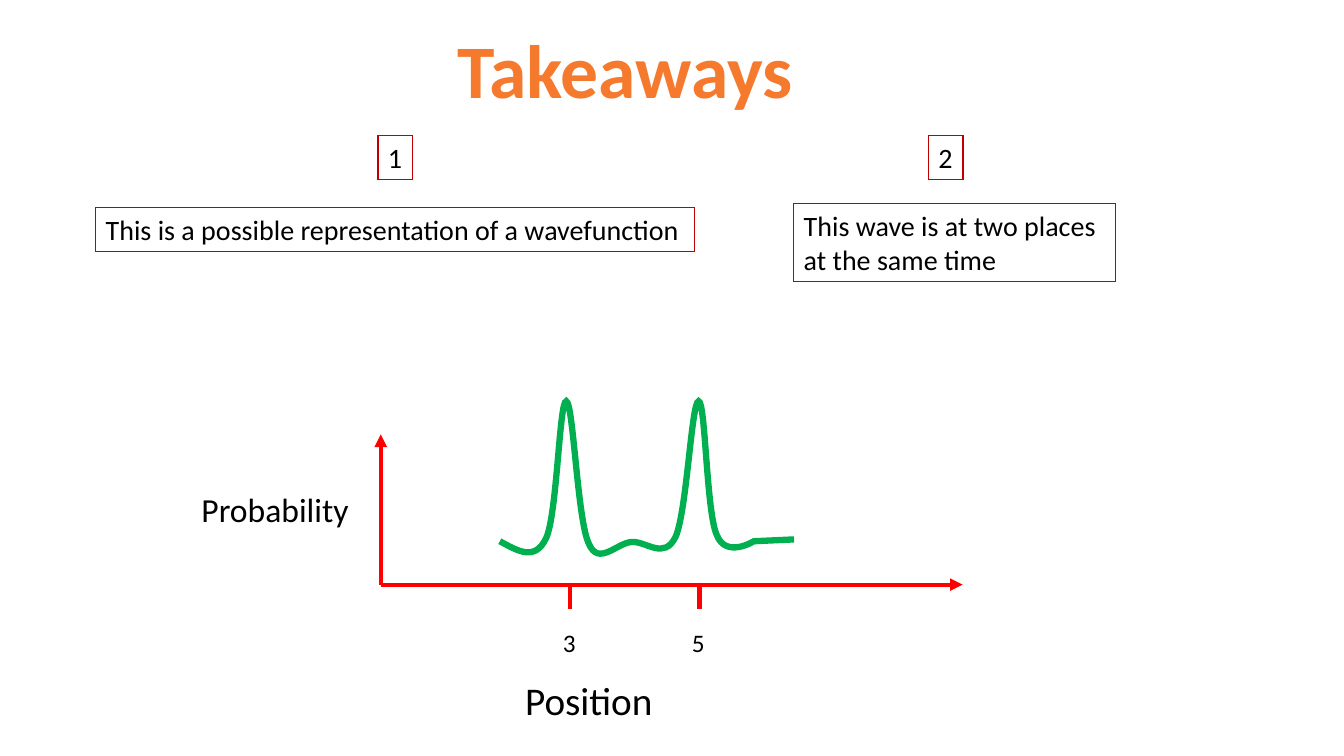
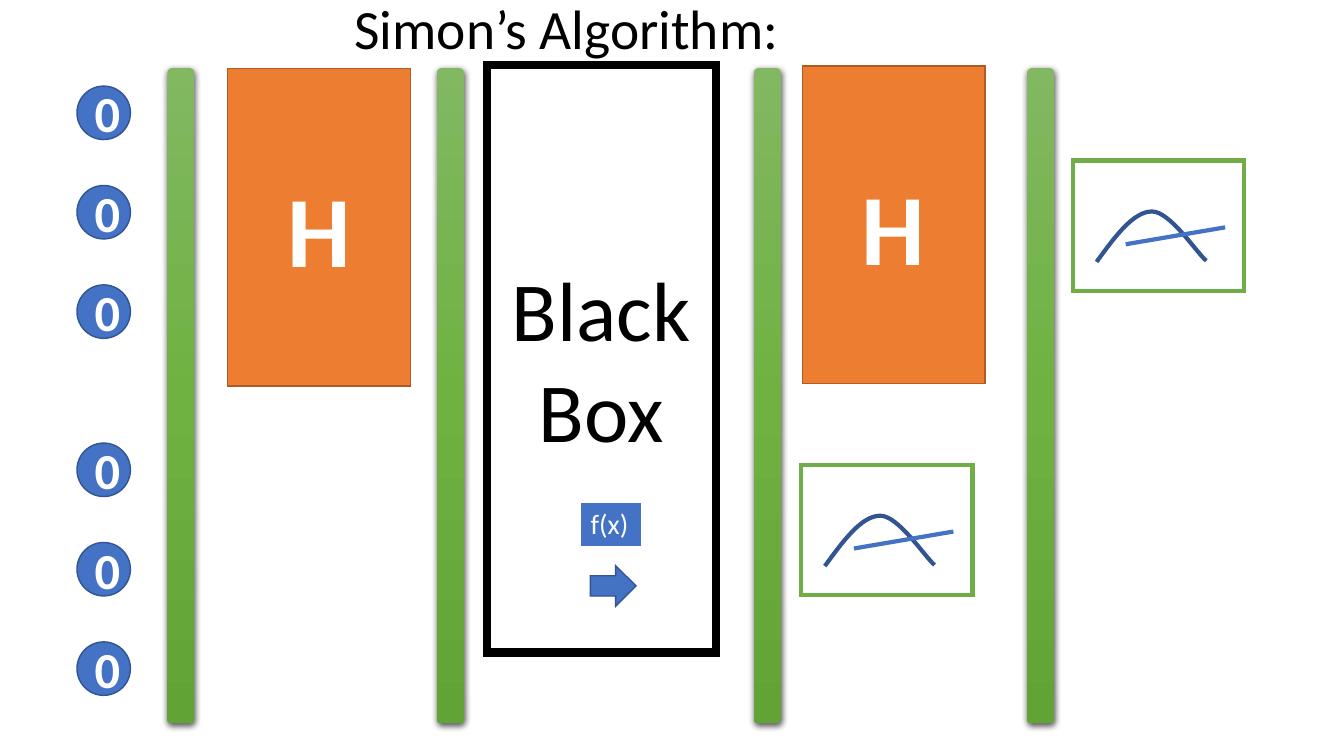
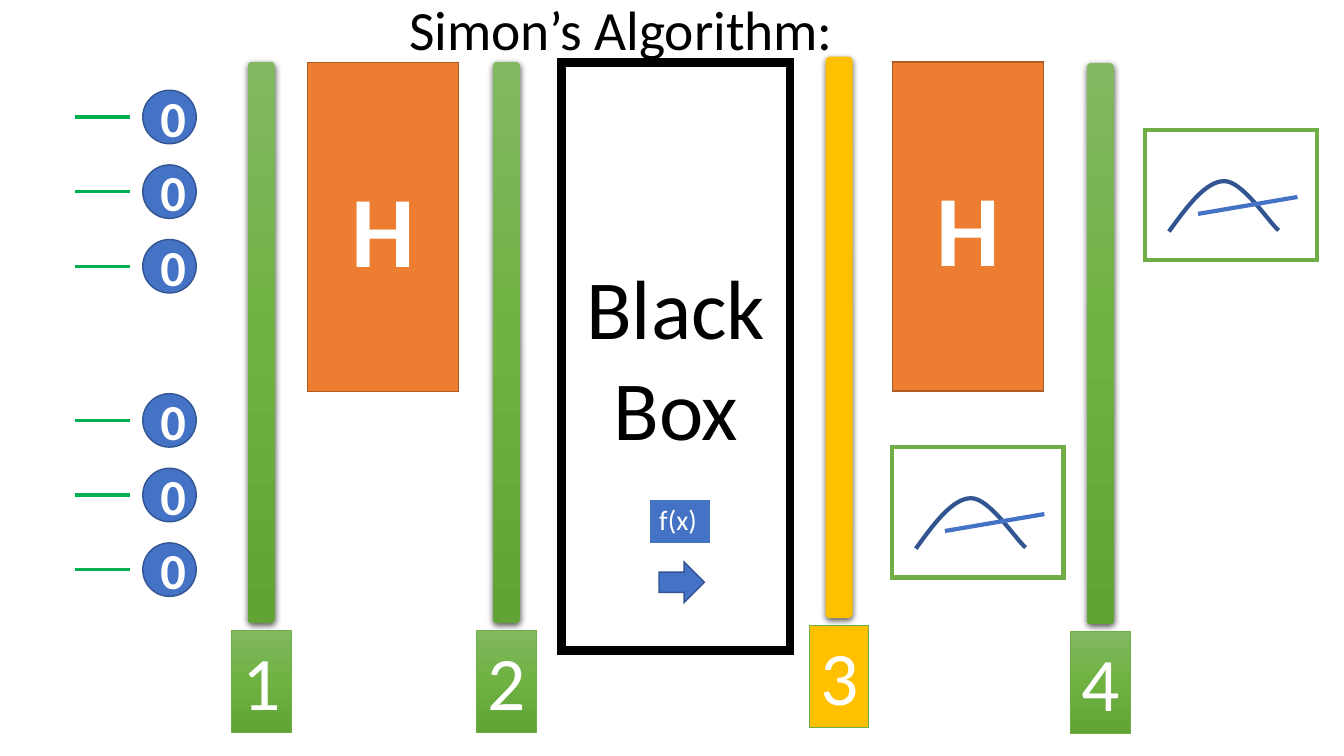
from copy import deepcopy

from lxml import etree
from pptx import Presentation
from pptx.dml.color import RGBColor
from pptx.enum.shapes import MSO_CONNECTOR, MSO_SHAPE
from pptx.enum.text import MSO_ANCHOR, MSO_AUTO_SIZE, PP_ALIGN
from pptx.oxml.ns import qn
from pptx.util import Pt

RECTANGLE = MSO_SHAPE.RECTANGLE
ROUNDED = MSO_SHAPE.ROUNDED_RECTANGLE
ELLIPSE = MSO_SHAPE.OVAL
RIGHT_ARROW = MSO_SHAPE.RIGHT_ARROW
STRAIGHT = MSO_CONNECTOR.STRAIGHT
LEFT, CENTER = PP_ALIGN.LEFT, PP_ALIGN.CENTER
TOP, MIDDLE = MSO_ANCHOR.TOP, MSO_ANCHOR.MIDDLE

FONT = "Calibri"
BLACK = RGBColor(0x00, 0x00, 0x00)
WHITE = RGBColor(0xFF, 0xFF, 0xFF)
TITLE_ORANGE = RGBColor(0xF5, 0x7A, 0x2E)
RED = RGBColor(0xFF, 0x00, 0x00)
DARK_RED = RGBColor(0xC0, 0x00, 0x00)
BRIGHT_GREEN = RGBColor(0x00, 0xB0, 0x50)
GREEN = RGBColor(0x70, 0xAD, 0x47)
BLUE = RGBColor(0x44, 0x72, 0xC4)
DARK_BLUE = RGBColor(0x32, 0x54, 0x91)
ORANGE = RGBColor(0xED, 0x7D, 0x31)
DARK_ORANGE = RGBColor(0xAF, 0x5C, 0x24)
GOLD = RGBColor(0xFF, 0xC0, 0x00)
GREEN_GRADIENT = [
    (0, RGBColor(0x81, 0xB8, 0x61)),
    (0.5, RGBColor(0x6F, 0xB2, 0x42)),
    (1, RGBColor(0x62, 0xA3, 0x36)),
]

TITLE_ONLY_LAYOUT = 5
QUBIT_SIZE = 38.2
BAR_WIDTH = 19.4
STEP_SIZE = (42.5, 73)
STEP_GAP = 5

# A curve is a start point, then (control, control, end) or (end,) segments.
WAVE_HEIGHT = 109.4
WAVE_START = (85, -31)
WAVE = [
    ((98, -24), (110, -16.5), (118, -33)),
    ((126, -49.5), (127.5, -131.5), (132.5, -131)),
    ((137.5, -130.5), (140.5, -46), (148.5, -29.5)),
    ((155.5, -12.5), (168.5, -30), (179.5, -30.5)),
    ((189.5, -31), (202.5, -17.5), (210.5, -34)),
    ((218.5, -51), (222, -131), (227, -131)),
    ((232, -131.5), (232.5, -52), (240, -35.5)),
    ((246.5, -18.5), (266.5, -31), (266.5, -31)),
    ((295.2, -32.3),),
]
DIAL_HEIGHT = 36
DIAL_START = (17, 72.4)
DIAL = [
    ((30, 54.5), (43.2, 36.5), (56.4, 36.4)),
    ((69.5, 36), (89.3, 67), (95.4, 71.6)),
]


def set_text(frame, text, size=20, color=BLACK, bold=False, align=LEFT,
             anchor=TOP, wrap=True, spacing=None):
    frame.text = text
    frame.word_wrap = wrap
    frame.auto_size = MSO_AUTO_SIZE.NONE
    frame.vertical_anchor = anchor
    for paragraph in frame.paragraphs:
        paragraph.alignment = align
        paragraph.line_spacing = spacing
        font = paragraph.runs[0].font
        font.name, font.size, font.bold = FONT, Pt(size), bold
        font.color.rgb = color


def set_line(shape, color, width):
    shape.line.color.rgb = color
    shape.line.width = Pt(width)
    outline = shape.element.spPr.find(qn("a:ln"))
    etree.SubElement(outline, qn("a:miter"), lim="800000")


def add_label(slide, box, text, **text_format):
    label = slide.shapes.add_textbox(*map(Pt, box))
    set_text(label.text_frame, text, **text_format)


def fill_gradient(shape, stops):
    fill = shape.fill
    fill.gradient()
    fill.gradient_angle = 270
    stop_list = shape.element.spPr.find(".//" + qn("a:gsLst"))
    stop_list.insert(1, deepcopy(stop_list[0]))
    for stop, (position, color) in zip(fill.gradient_stops, stops):
        stop.position = position
        stop.color.rgb = color


def add_box(slide, kind, box, fill=None, line=None, text=None, **text_format):
    """Fill is a colour, a list of gradient stops or None; line is (colour, width)."""
    shape = slide.shapes.add_shape(kind, *map(Pt, box))
    shape.shadow.inherit = False
    if fill is None:
        shape.fill.background()
    elif isinstance(fill, list):
        fill_gradient(shape, fill)
    else:
        shape.fill.solid()
        shape.fill.fore_color.rgb = fill
    if line:
        set_line(shape, *line)
    else:
        shape.line.fill.background()
    if text:
        set_text(shape.text_frame, text, **text_format)
    return shape


def add_line(slide, start, end, color, width, arrow=False):
    line = slide.shapes.add_connector(STRAIGHT, *map(Pt, start + end))
    set_line(line, color, width)
    properties = line.element.spPr
    if arrow:
        etree.SubElement(properties.find(qn("a:ln")), qn("a:tailEnd"), type="triangle")
    etree.SubElement(properties, qn("a:effectLst"))


def add_curve(slide, origin, start, segments, height, color, width):
    """Joins the segment ends, then bends each three-point segment into a Bezier."""
    left, top = origin
    ends = [start] + [segment[-1] for segment in segments]
    corners = [(Pt(left + x), Pt(top + y)) for x, y in ends]
    builder = slide.shapes.build_freeform(*corners[0])
    builder.add_line_segments(corners[1:], close=False)
    curve = builder.convert_to_shape()
    curve.shadow.inherit = False
    curve.fill.background()
    set_line(curve, color, width)
    curve.height = Pt(height)
    outline = curve.element.spPr.find(".//" + qn("a:path"))
    outline.set("h", str(Pt(height)))
    min_x, min_y = (min(axis) for axis in zip(*ends))
    for straight, segment in zip(outline.findall(qn("a:lnTo")), segments):
        if len(segment) == 3:
            bend = etree.Element(qn("a:cubicBezTo"))
            for x, y in segment:
                etree.SubElement(bend, qn("a:pt"), x=str(Pt(x - min_x)), y=str(Pt(y - min_y)))
            outline.replace(straight, bend)


def add_titled_slide(presentation, box, text, **text_format):
    slide = presentation.slides.add_slide(presentation.slide_layouts[TITLE_ONLY_LAYOUT])
    title = slide.shapes.title
    title.left, title.top, title.width, title.height = map(Pt, box)
    set_text(title.text_frame, text, **text_format)
    return slide


def add_takeaway(slide, number, number_left, box, text):
    outline = (DARK_RED, 0.75)
    add_box(slide, RECTANGLE, (number_left, 96.5, 24.7, 31.5), line=outline,
            text=number, wrap=False)
    add_box(slide, RECTANGLE, box, line=outline, text=text)


def add_probability_plot(slide, left, base):
    """The axes meet at (left, base)."""
    add_curve(slide, (left, base), WAVE_START, WAVE, WAVE_HEIGHT, BRIGHT_GREEN, 4.5)
    for end in ((left + 415.6, base), (left, base - 107.3)):
        add_line(slide, (left, base), end, RED, 3, arrow=True)
    add_label(slide, (left + 96, base + 62, 106.5, 41), "Position", size=28, wrap=False)
    add_label(slide, (left - 135.2, base - 72, 121, 36), "Probability", size=24, wrap=False)
    for value, offset in (("3", 135.4), ("5", 227.7)):
        x = left + offset
        add_line(slide, (x, base), (x, base + 17.3), RED, 3)
        add_label(slide, (x - 12.5, base + 26.6, 24, 29), value, size=18, wrap=False)


def add_qubits(slide, left, top, pitch, wire_left=None):
    for index in range(3):
        y = top + index * pitch
        if wire_left is not None:
            middle = y + QUBIT_SIZE / 2
            add_line(slide, (wire_left, middle), (wire_left + 39.6, middle),
                     BRIGHT_GREEN, 2.25)
        add_box(slide, ELLIPSE, (left, y, QUBIT_SIZE, QUBIT_SIZE), BLUE, (DARK_BLUE, 1),
                "0", size=36, color=WHITE, bold=True, align=CENTER, anchor=MIDDLE)


def add_bar(slide, left, top, height, fill=GREEN_GRADIENT, step=None):
    bar = add_box(slide, ROUNDED, (left, top, BAR_WIDTH, height), fill)
    effects = bar.element.spPr.find(qn("a:effectLst"))
    shadow = etree.SubElement(effects, qn("a:outerShdw"), blurRad=str(Pt(4.5)),
                              dist=str(Pt(1.5)), dir="5400000", rotWithShape="0")
    shade = etree.SubElement(shadow, qn("a:srgbClr"), val=str(BLACK))
    etree.SubElement(shade, qn("a:alpha"), val="63000")
    if step:
        step_left = left + (BAR_WIDTH - STEP_SIZE[0]) / 2
        add_box(slide, RECTANGLE, (step_left, top + height + STEP_GAP, *STEP_SIZE), fill,
                (GREEN, 0.5), step, size=54, color=WHITE, align=CENTER, wrap=False)


def add_hadamard(slide, box):
    add_box(slide, RECTANGLE, box, ORANGE, (DARK_ORANGE, 1), "H",
            size=72, color=WHITE, bold=True, align=CENTER, anchor=MIDDLE)


def add_black_box(slide, left, top):
    add_box(slide, RECTANGLE, (left, top, 163.5, 419.8), line=(BLACK, 6), text="Black Box",
            size=60, align=CENTER, anchor=MIDDLE)


def add_function_badge(slide, left, top):
    table = slide.shapes.add_table(1, 1, *map(Pt, (left, top, 43.7, 31))).table
    cell = table.cell(0, 0)
    cell.fill.solid()
    cell.fill.fore_color.rgb = BLUE
    run = cell.text_frame.paragraphs[0].add_run()
    run.text = "f(x)"
    run.font.name, run.font.size, run.font.bold = FONT, Pt(20), False
    run.font.color.rgb = WHITE
    add_box(slide, RIGHT_ARROW, (left + 7, top + 45, 32.5, 29), BLUE, (DARK_BLUE, 1))


def add_meter(slide, left, top):
    add_box(slide, RECTANGLE, (left, top, 122.5, 93), WHITE, (GREEN, 3))
    add_curve(slide, (left, top), DIAL_START, DIAL, DIAL_HEIGHT, DARK_BLUE, 3)
    add_line(slide, (left + 37.8, top + 59.8), (left + 108.8, top + 47.7), BLUE, 3)


def add_takeaways_slide(presentation):
    slide = add_titled_slide(presentation, (318.3, 13, 256.5, 72.5), "Takeaways", size=54,
                             color=TITLE_ORANGE, bold=True, align=CENTER, wrap=False)
    add_probability_plot(slide, 272, 417.6)
    add_takeaway(slide, "1", 270, (68.4, 148.3, 428, 31.5),
                 "This is a possible representation of a wavefunction")
    add_takeaway(slide, "2", 663.2, (567, 145.5, 229.7, 55.5),
                 "This wave is at two places\nat the same time")


def add_algorithm_slide(presentation, title_place, black_box, badge, qubits, bars,
                        hadamards, meters):
    """Qubits is (left, group tops, pitch, wire left); the others give places."""
    slide = add_titled_slide(presentation, (*title_place, 343.5, 34), "Simon’s Algorithm:",
                             size=39.6, anchor=MIDDLE, spacing=0.9)
    add_black_box(slide, *black_box)
    add_function_badge(slide, *badge)
    left, tops, pitch, wire_left = qubits
    for top in tops:
        add_qubits(slide, left, top, pitch, wire_left)
    for bar in bars:
        add_bar(slide, *bar)
    for box in hadamards:
        add_hadamard(slide, box)
    for place in meters:
        add_meter(slide, *place)


def main():
    presentation = Presentation()
    presentation.slide_width, presentation.slide_height = Pt(960), Pt(540)
    add_takeaways_slide(presentation)
    add_algorithm_slide(
        presentation,
        title_place=(246, 5.5),
        black_box=(347.8, 46.3),
        badge=(414.7, 359),
        qubits=(55, (61.5, 316.5), 71, None),
        bars=[(left, 48.7, 468) for left in (119.5, 312, 538.5, 733.7)],
        hadamards=[(162.7, 48.8, 130.5, 227), (573.2, 47.2, 130.5, 227)],
        meters=[(572.2, 332), (766.3, 114.7)],
    )
    add_algorithm_slide(
        presentation,
        title_place=(285, 6),
        black_box=(401, 44.8),
        badge=(463.7, 356.4),
        qubits=(102, (64.5, 281.2), 53.3, 53.3),
        bars=[
            (177, 44, 401, GREEN_GRADIENT, "1"),
            (352, 44, 401, GREEN_GRADIENT, "2"),
            (589.7, 40.5, 401, GOLD, "3"),
            (776.3, 45, 401, GREEN_GRADIENT, "4"),
        ],
        hadamards=[(219.6, 44.5, 108, 235.2), (637.4, 44.2, 108, 235.2)],
        meters=[(637.2, 319.5), (818, 93)],
    )
    presentation.save("out.pptx")


if __name__ == "__main__":
    main()
